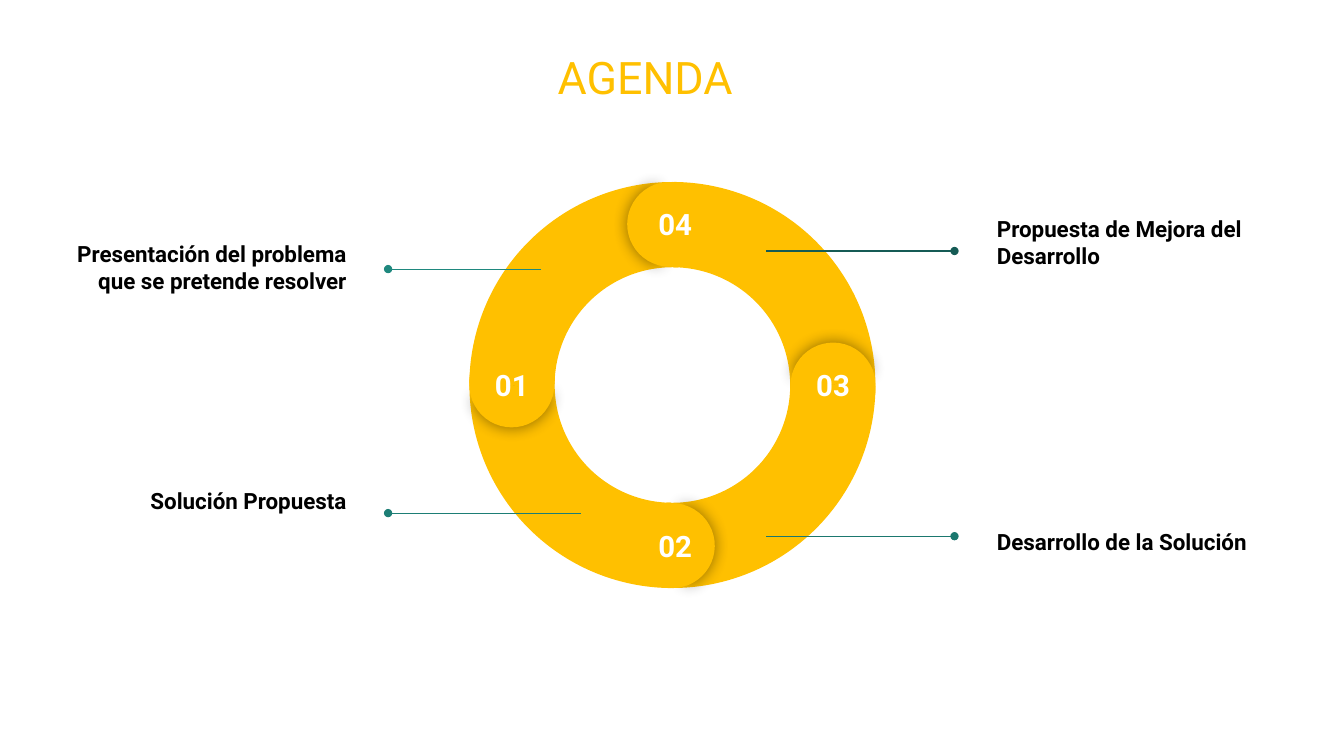
import math
from lxml import etree
from pptx import Presentation
from pptx.dml import color
from pptx.enum import shapes, text
from pptx.oxml import ns
from pptx.util import Pt

FONT = "Roboto"
COLORS = {"gold": "FFC000", "white": "FFFFFF", "black": "000000"}
TITLE = "AGENDA"
LEFT, RIGHT = text.PP_ALIGN.LEFT, text.PP_ALIGN.RIGHT
CENTER = text.PP_ALIGN.CENTER

# number, angle on the ring, sideways shift of the cap
STEPS = [("03", 0, 0), ("02", 90, 0), ("01", 180, 0), ("04", 270, -2)]
# wording, box left, box top, alignment, extra top and bottom inset
TOPICS = [
    ("Presentación del problema que se pretende resolver", 33.8, 123.1, RIGHT, 0, 0),
    ("Solución Propuesta", 33.8, 296.6, RIGHT, 0, 13),
    ("Propuesta de Mejora del Desarrollo", 702.7, 111.6, LEFT, 0, 13),
    ("Desarrollo de la Solución", 702.7, 315.4, LEFT, 7, 0),
]
# start x, end x, y, colour
LEADERS = [
    (386.6, 277.2, 192.2, "1F887E"),
    (414.7, 277.2, 366.5, "1D7E75"),
    (547.2, 681.8, 179.3, "155B55"),
    (547.2, 681.8, 383, "1B786F"),
]

RING_X, RING_Y, RING_SIZE = 480.3, 275, 290
BAND = 60.5
ARC_ADJUST = (126.22, 181.77, 0.21)
SHADOW_ADJUST = (61.9, 149.96)
COVER_ADJUST = (40.28, 171.84)

prs = Presentation()
prs.slide_width, prs.slide_height = Pt(960), Pt(540)
slide = prs.slides.add_slide(prs.slide_layouts[6])


def rgb(value):
    return color.RGBColor.from_string(value)


def add_gold(kind, x, y, size, rotation, adjust):
    shape = slide.shapes.add_shape(
        kind, Pt(x - size / 2), Pt(y - size / 2), Pt(size), Pt(size))
    shape.rotation = rotation % 360
    for i, value in enumerate(adjust):
        shape.adjustments[i] = value
    shape.fill.solid()
    shape.fill.fore_color.rgb = rgb(COLORS["gold"])
    shape.line.fill.background()
    shape.shadow.inherit = False
    return shape


def add_glow_shadow(shape):
    effects = shape._element.spPr.find(ns.qn("a:effectLst"))
    shadow = etree.SubElement(effects, ns.qn("a:outerShdw"),
                              blurRad=str(Pt(11.2)), dist="0", dir="0",
                              algn="ctr", rotWithShape="0")
    black = etree.SubElement(shadow, ns.qn("a:srgbClr"), val=COLORS["black"])
    etree.SubElement(black, ns.qn("a:alpha"), val="43000")


def add_text(wording, x, y, w, h, size, ink, align, inset,
             bold=True, anchor=text.MSO_ANCHOR.TOP, extra=(0, 0)):
    frame = slide.shapes.add_textbox(Pt(x), Pt(y), Pt(w), Pt(h)).text_frame
    frame.word_wrap = True
    frame.vertical_anchor = anchor
    frame.margin_left = frame.margin_right = Pt(inset)
    frame.margin_top, frame.margin_bottom = Pt(inset + extra[0]), Pt(inset + extra[1])
    frame.text = wording
    paragraph = frame.paragraphs[0]
    paragraph.alignment = align
    font = paragraph.runs[0].font
    font.name, font.size, font.bold = FONT, Pt(size), bold
    font.color.rgb = rgb(COLORS[ink])


add_text(TITLE, 63.4, 28.1, 794.9, 103.7, 32, "gold", CENTER, 7.2, bold=False)

for number, angle, shift in STEPS:
    add_gold(shapes.MSO_SHAPE.BLOCK_ARC, RING_X, RING_Y, RING_SIZE,
             angle + 60, ARC_ADJUST)

orbit = (RING_SIZE - BAND) / 2
for number, angle, shift in STEPS:
    x = RING_X + orbit * math.cos(math.radians(angle))
    y = RING_Y + orbit * math.sin(math.radians(angle))
    add_glow_shadow(add_gold(shapes.MSO_SHAPE.PIE, x + shift, y, BAND,
                             angle + 90.7, SHADOW_ADJUST))
    add_gold(shapes.MSO_SHAPE.PIE, x + shift, y, BAND, angle + 270, COVER_ADJUST)
    nudge = 2 if angle % 180 else 0
    add_text(number, x + nudge - 26.6, y - 22.3, 53.3, 28.1, 21, "white", CENTER, 9.4)

for wording, x, y, align, top, bottom in TOPICS:
    add_text(wording, x, y, 223.2, 135.4, 16, "black", align, 9.4,
             anchor=text.MSO_ANCHOR.MIDDLE, extra=(top, bottom))

for start, end, y, ink in LEADERS:
    leader = slide.shapes.add_connector(
        shapes.MSO_CONNECTOR.STRAIGHT, Pt(start), Pt(y), Pt(end), Pt(y))
    leader.line.color.rgb = rgb(ink)
    leader.line.width = Pt(0.75)
    etree.SubElement(leader.line._get_or_add_ln(), ns.qn("a:tailEnd"), type="oval")
    etree.SubElement(leader._element.spPr, ns.qn("a:effectLst"))

prs.save("out.pptx")
